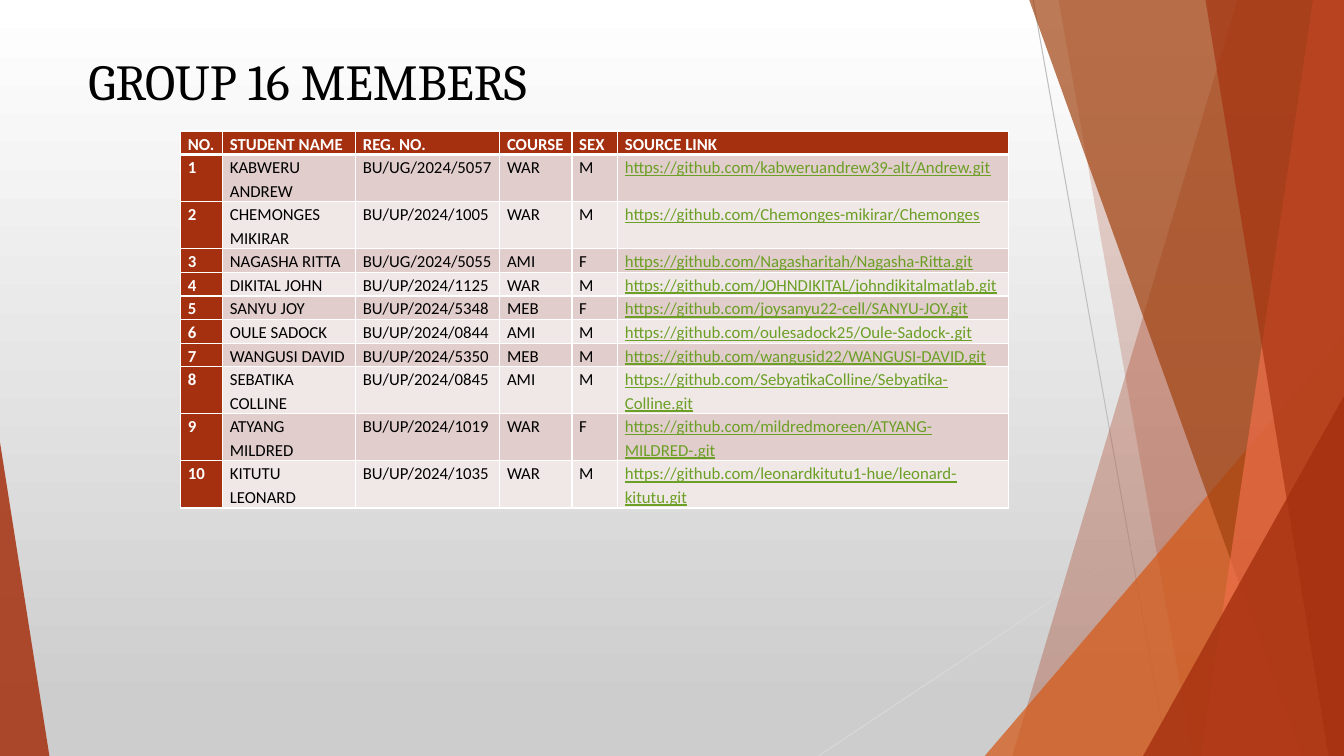
from dataclasses import dataclass

from lxml.etree import SubElement
from pptx import Presentation
from pptx.dml.color import RGBColor
from pptx.enum.shapes import MSO_CONNECTOR as Connector, MSO_SHAPE as Shape
from pptx.enum.text import MSO_ANCHOR as Anchor, PP_ALIGN as Align
from pptx.oxml.ns import qn
from pptx.util import Pt


@dataclass(frozen=True)
class Theme:
    white: str = "FFFFFF"
    black: str = "000000"
    sky_end: str = "CDCDCD"
    red: str = "A5300F"
    orange: str = "D55816"
    brown: str = "A04210"
    coral: str = "EE6E4A"
    line_dark: str = "BFBFBF"
    line_light: str = "D9D9D9"
    band_dark: str = "E1CDCC"
    band_light: str = "F0E8E7"
    link: str = "6B9F25"
    title_font: str = "Cambria"
    body_font: str = "Calibri"
    title_size: float = 36
    body_size: float = 12


THEME = Theme()
WIDTH, HEIGHT = 960, 540
COLUMN_WIDTHS = [30, 95, 103, 51.6, 32.6, 279]
ROW_HEIGHT = 16.8
HEADERS = ["NO.", "STUDENT NAME", "REG. NO.", "COURSE", "SEX", "SOURCE LINK"]
MEMBERS = [
    ("KABWERU ANDREW", "BU/UG/2024/5057", "WAR", "M",
     "https://github.com/kabweruandrew39-alt/Andrew.git"),
    ("CHEMONGES MIKIRAR", "BU/UP/2024/1005", "WAR", "M",
     "https://github.com/Chemonges-mikirar/Chemonges"),
    ("NAGASHA RITTA", "BU/UG/2024/5055", "AMI", "F",
     "https://github.com/Nagasharitah/Nagasha-Ritta.git"),
    ("DIKITAL JOHN", "BU/UP/2024/1125", "WAR", "M",
     "https://github.com/JOHNDIKITAL/johndikitalmatlab.git"),
    ("SANYU JOY", "BU/UP/2024/5348", "MEB", "F",
     "https://github.com/joysanyu22-cell/SANYU-JOY.git"),
    ("OULE SADOCK", "BU/UP/2024/0844", "AMI", "M",
     "https://github.com/oulesadock25/Oule-Sadock-.git"),
    ("WANGUSI DAVID", "BU/UP/2024/5350", "MEB", "M",
     "https://github.com/wangusid22/WANGUSI-DAVID.git"),
    ("SEBATIKA COLLINE", "BU/UP/2024/0845", "AMI", "M",
     "https://github.com/SebyatikaColline/Sebyatika-Colline.git"),
    ("ATYANG MILDRED", "BU/UP/2024/1019", "WAR", "F",
     "https://github.com/mildredmoreen/ATYANG-MILDRED-.git"),
    ("KITUTU LEONARD", "BU/UP/2024/1035", "WAR", "M",
     "https://github.com/leonardkitutu1-hue/leonard-kitutu.git"),
]


def rgb(color):
    return RGBColor.from_string(color)


def paint_background(page):
    fill = page.background.fill
    fill.gradient()
    fill.gradient_angle = 270
    for stop, position, color in zip(
            fill.gradient_stops, (0, 0.94), (THEME.white, THEME.sky_end)):
        stop.position = position
        stop.color.rgb = rgb(color)


def add_line(page, start, end, color):
    line = page.shapes.add_connector(
        Connector.STRAIGHT, *(Pt(value) for value in (*start, *end)))
    line.line.color.rgb = rgb(color)
    line.line.width = Pt(0.75)
    SubElement(line.element.spPr, qn("a:effectLst"))


def paint_glass(shape, color, opacity):
    """Fill with a see-through colour, without outline or shadow."""
    shape.shadow.inherit = False
    shape.line.fill.background()
    shape.fill.solid()
    shape.fill.fore_color.rgb = rgb(color)
    tint = shape.element.spPr.find(qn("a:solidFill"))[0]
    SubElement(tint, qn("a:alpha"), val=str(opacity * 1000))


def add_pane(page, top_x, bottom_x, color, opacity):
    """Add a full-height pane with a slanted left side."""
    top = Pt(-0.6)
    builder = page.shapes.build_freeform(Pt(top_x), top)
    builder.add_line_segments([
        (Pt(WIDTH), top), (Pt(WIDTH), Pt(HEIGHT)), (Pt(bottom_x), Pt(HEIGHT))])
    paint_glass(builder.convert_to_shape(), color, opacity)


def add_corner(page, left, top, right, apex, color, opacity):
    """Add a triangle standing on the bottom edge of the page."""
    corner = page.shapes.add_shape(
        Shape.ISOSCELES_TRIANGLE,
        Pt(left), Pt(top), Pt(right - left), Pt(HEIGHT - top))
    corner.adjustments[0] = apex
    paint_glass(corner, color, opacity)


def add_decoration(page):
    add_line(page, (738, 0), (834, HEIGHT), THEME.line_dark)
    add_line(page, (WIDTH, 290), (584.6, HEIGHT), THEME.line_light)
    add_pane(page, 884, 723, THEME.red, 30)
    add_pane(page, 756, 852, THEME.red, 20)
    add_corner(page, 703.4, 240, WIDTH, 1, THEME.orange, 72)
    add_pane(page, 735, 929.5, THEME.brown, 70)
    add_pane(page, 938, 858, THEME.coral, 70)
    add_pane(page, 861, 949, THEME.red, 65)
    add_corner(page, 816.5, 283, WIDTH, 1, THEME.red, 80)
    add_corner(page, 0, 316, 35.3, 0, THEME.red, 85)


def add_run(para, text, font, size, color, bold=False, underline=False):
    span = para.add_run()
    span.text = text
    span.font.name = font
    span.font.size = Pt(size)
    span.font.color.rgb = rgb(color)
    span.font.bold = bold
    span.font.underline = underline


def set_title(page, text):
    title = page.shapes.title
    title.left, title.top, title.width, title.height = map(
        Pt, (56, 32.4, 677, 104))
    title.text_frame.vertical_anchor = Anchor.TOP
    para = title.text_frame.paragraphs[0]
    para.alignment = Align.LEFT
    add_run(para, text, THEME.title_font, THEME.title_size, THEME.black)


def set_borders(cell, top, bottom):
    for side, width in (("L", 1), ("R", 1), ("T", top), ("B", bottom)):
        edge = SubElement(cell._tc.get_or_add_tcPr(), qn(f"a:ln{side}"),
                          w=str(Pt(width)))
        fill = SubElement(edge, qn("a:solidFill"))
        SubElement(fill, qn("a:srgbClr"), val=THEME.white)


def fill_cell(cell, text, row, column):
    heading = row == 0 or column == 0
    link = row > 0 and column == len(HEADERS) - 1
    band = THEME.band_dark if row % 2 else THEME.band_light
    color = THEME.white if heading else THEME.link if link else THEME.black
    set_borders(cell, top=3 if row == 1 else 1, bottom=3 if row == 0 else 1)
    cell.fill.solid()
    cell.fill.fore_color.rgb = rgb(THEME.red if heading else band)
    cell.margin_left = cell.margin_right = Pt(5.2)
    cell.margin_top = cell.margin_bottom = 0
    para = cell.text_frame.paragraphs[0]
    para.alignment = Align.JUSTIFY
    para.line_spacing = 1.15
    add_run(para, text, THEME.body_font, THEME.body_size, color,
            bold=heading, underline=link)


def add_member_table(page):
    rows = [HEADERS] + [
        (str(number), *member) for number, member in enumerate(MEMBERS, 1)]
    table = page.shapes.add_table(
        len(rows), len(HEADERS), Pt(129), Pt(93.6),
        Pt(sum(COLUMN_WIDTHS)), Pt(ROW_HEIGHT * len(rows))).table
    for column, width in zip(table.columns, COLUMN_WIDTHS):
        column.width = Pt(width)
    for row, texts in enumerate(rows):
        table.rows[row].height = Pt(ROW_HEIGHT)
        for column, text in enumerate(texts):
            fill_cell(table.cell(row, column), text, row, column)


def main():
    deck = Presentation()
    deck.slide_width, deck.slide_height = Pt(WIDTH), Pt(HEIGHT)
    page = deck.slides.add_slide(deck.slide_layouts[5])
    paint_background(page)
    add_decoration(page)
    set_title(page, "GROUP 16 MEMBERS")
    add_member_table(page)
    deck.save("out.pptx")


if __name__ == "__main__":
    main()
